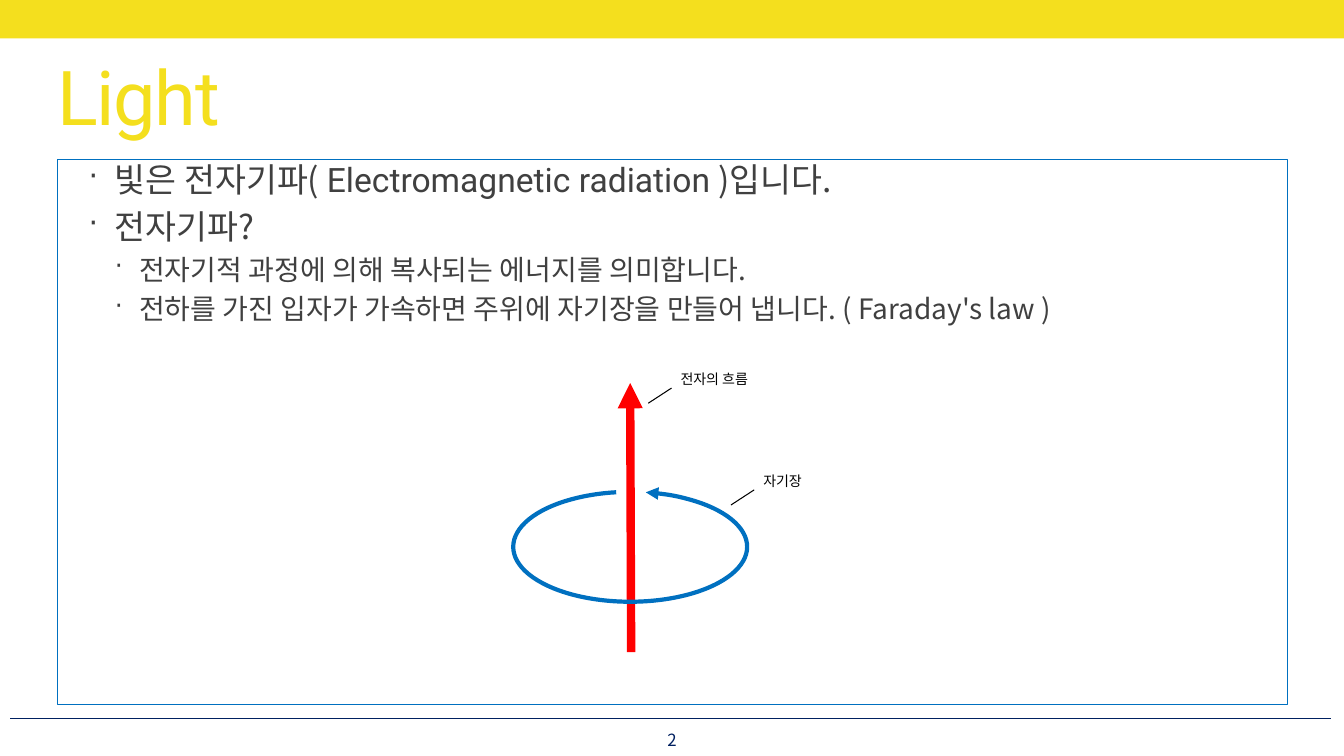
from lxml import etree
from pptx import Presentation
from pptx.dml.color import RGBColor
from pptx.enum import shapes, text
from pptx.oxml.ns import qn
from pptx.util import Inches, Pt

YELLOW = RGBColor(0xF4, 0xDF, 0x1E)
NAVY = RGBColor(0x00, 0x20, 0x60)
BLUE = RGBColor(0x00, 0x70, 0xC0)
RED = RGBColor(0xFF, 0x00, 0x00)
GREY = RGBColor(0x40, 0x40, 0x40)
BLACK = RGBColor(0x00, 0x00, 0x00)
KOREAN, LATIN = "Noto Sans CJK KR", "Roboto"

TITLE = "Light"
PAGE = "2"
BULLETS = [  # level, runs of (text, font)
    (1, [("빛은 전자기파( ", KOREAN), ("Electromagnetic radiation ", LATIN), (")입니다.", KOREAN)]),
    (1, [("전자기파?", KOREAN)]),
    (2, [("전자기적 과정에 의해 복사되는 에너지를 의미합니다.", KOREAN)]),
    (2, [("전하를 가진 입자가 가속하면 주위에 자기장을 만들어 냅니다. ( Faraday's law )", KOREAN)]),
]
LEVELS = {1: (24, 0.57, 0.26), 2: (20, 0.81, 0.24)}  # size, indent, hanging
LABELS = [("전자의 흐름", 6.75, 3.68, 1.0), ("자기장", 7.57, 4.69, 0.68)]
LEADER = (-0.09, 0.17, -0.32, 0.32)  # start and end, measured from the label's corner

WIDTH, HEIGHT = 13.33, 7.5
MARGIN, CONTENT_W = 0.57, 12.2

prs = Presentation()
prs.slide_width, prs.slide_height = Inches(WIDTH), Inches(HEIGHT)
slide = prs.slides.add_slide(prs.slide_layouts[5])


def place(sp, *box):
    sp.left, sp.top, sp.width, sp.height = map(Inches, box)


def add_run(p, words, size, color, font=KOREAN, spacing=None):
    r = p.add_run()
    r.text = words
    r.font.size, r.font.name = Pt(size), font
    r.font.color.rgb = color
    rpr = r.font._element
    etree.SubElement(rpr, qn("a:ea")).set("typeface", font)
    if spacing:
        rpr.set("spc", str(spacing))


def clear_insets(tf):
    tf.margin_left = tf.margin_right = tf.margin_top = tf.margin_bottom = 0
    tf.word_wrap = True


def add_text(words, box, size, color, align=text.PP_ALIGN.LEFT, inset=False):
    tf = slide.shapes.add_textbox(*map(Inches, box)).text_frame
    tf.word_wrap = True
    if not inset:
        clear_insets(tf)
    p = tf.paragraphs[0]
    p.alignment = align
    add_run(p, words, size, color)


def add_shape(kind, box, fill=None, line=None, width=0.75):
    sp = slide.shapes.add_shape(kind, *map(Inches, box))
    sp.shadow.inherit = False
    if fill is None:
        sp.fill.background()
    else:
        sp.fill.solid()
        sp.fill.fore_color.rgb = fill
    if line is None:
        sp.line.fill.background()
    else:
        sp.line.color.rgb, sp.line.width = line, Pt(width)
    return sp


def add_arrowhead(sp):
    etree.SubElement(sp.line._get_or_add_ln(), qn("a:tailEnd")).set("type", "triangle")


def add_line(ends, color, width):
    line = slide.shapes.add_connector(shapes.MSO_CONNECTOR.STRAIGHT, *map(Inches, ends))
    line.line.color.rgb, line.line.width = color, Pt(width)
    etree.SubElement(line._element.spPr, qn("a:effectLst"))
    return line


def add_bullet(p, level, runs):
    size, indent, hanging = LEVELS[level]
    p.level = level - 1
    p.alignment = text.PP_ALIGN.LEFT
    p.space_before = Pt(size * 0.2)
    ppr = p._p.get_or_add_pPr()
    ppr.set("marL", str(Inches(indent)))
    ppr.set("indent", str(-Inches(hanging)))
    etree.SubElement(ppr, qn("a:buSzPct")).set("val", "90000")
    etree.SubElement(ppr, qn("a:buChar")).set("char", "·")
    for words, font in runs:
        add_run(p, words, size, GREY, font)


# Frame of the slide
add_line((0.1, 7.13, 13.2, 7.13), NAVY, 1)
add_shape(shapes.MSO_SHAPE.RECTANGLE, (0, 0, WIDTH, 0.38), fill=YELLOW)
add_text(PAGE, (6.11, 7.19, 1.11, 0.31), 12, NAVY, text.PP_ALIGN.CENTER, inset=True)

# Title
title = slide.shapes.title
place(title, MARGIN, 0.59, CONTENT_W, 0.82)
tf = title.text_frame
clear_insets(tf)
tf.auto_size = text.MSO_AUTO_SIZE.NONE
tf.vertical_anchor = text.MSO_ANCHOR.MIDDLE
p = tf.paragraphs[0]
p.alignment, p.line_spacing = text.PP_ALIGN.LEFT, 0.9
add_run(p, TITLE, 54, YELLOW, LATIN, spacing=-100)

# Bulleted body
body = add_shape(shapes.MSO_SHAPE.RECTANGLE, (MARGIN, 1.58, CONTENT_W, 5.41), line=BLUE)
tf = body.text_frame
clear_insets(tf)
tf.vertical_anchor = text.MSO_ANCHOR.TOP
for i, (level, runs) in enumerate(BULLETS):
    add_bullet(tf.add_paragraph() if i else tf.paragraphs[0], level, runs)

# Electron flow with the magnetic field around it
add_arrowhead(add_line((6.26, 6.47, 6.25, 3.8), RED, 6))
field = add_shape(shapes.MSO_SHAPE.ARC, (5.09, 4.88, 2.32, 1.09), line=BLUE, width=3)
field.adjustments[0], field.adjustments[1] = 62.647, 44.384
field._element.spPr.xfrm.set("flipV", "1")
add_arrowhead(field)

for words, x, y, w in LABELS:
    add_text(words, (x, y, w, 0.27), 10, BLACK)
    x1, y1, x2, y2 = LEADER
    add_line((x + x1, y + y1, x + x2, y + y2), BLACK, 0.75)

prs.save("out.pptx")
